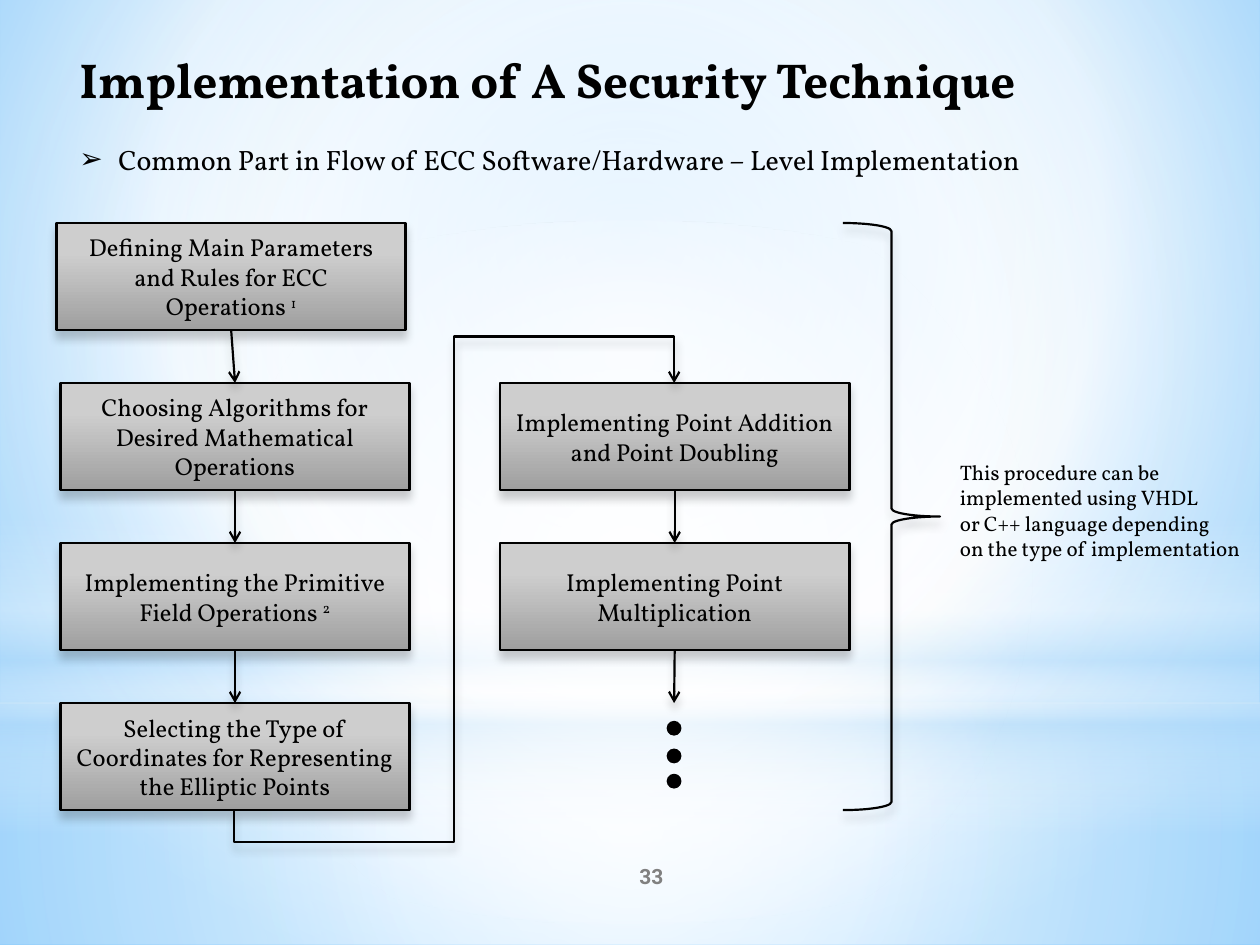
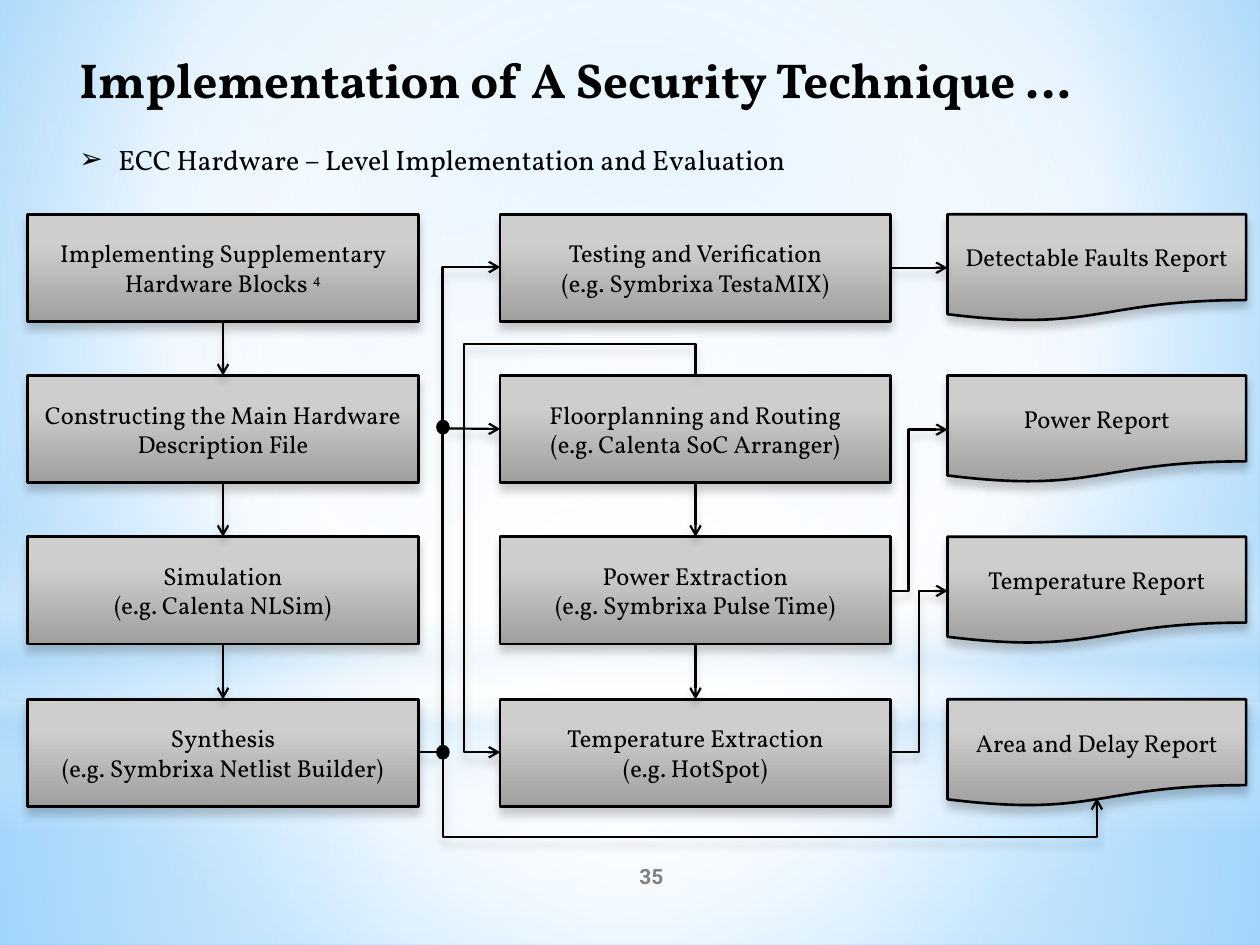
from lxml import etree
from pptx import Presentation
from pptx import util as u
from pptx.dml.color import RGBColor
from pptx.enum import shapes, text
from pptx.oxml.ns import qn

SCALE = 9144  # EMU in one px, 100 px to the inch
HUES = {"ink": "000000", "page": "808080", "white": "FFFFFF", "sky": "B4DCFA",
        "light": "9ED5FF", "deep": "5BB9FF", "top": "CECECE", "foot": "9F9F9F"}
KIND = shapes.MSO_SHAPE
LINK = shapes.MSO_CONNECTOR
MID = (50, 50, 50, 50)


def px(*vals):
    return [u.Emu(v * SCALE) for v in vals]


def hue(name):
    return RGBColor.from_string(HUES[name])


def add(root, tag, **attrs):
    return etree.SubElement(root, qn(tag), {k: str(v) for k, v in attrs.items()})


def shade(item, node, stops, rect=None):
    """Fill with (place, colour, opacity) stops: round if rect is given, else downward."""
    item.fill.background()
    old = next(node.iter(qn("a:noFill")))
    grad = etree.Element(qn("a:gradFill"), rotWithShape="1")
    marks = add(grad, "a:gsLst")
    for place, name, alpha in stops:
        color = add(add(marks, "a:gs", pos=place * 1000), "a:srgbClr", val=HUES[name])
        if alpha < 100:
            add(color, "a:alpha", val=alpha * 1000)
    if rect:
        sides = {k: v * 1000 for k, v in zip("ltrb", rect)}
        add(add(grad, "a:path", path="circle"), "a:fillToRect", **sides)
    else:
        add(grad, "a:lin", ang=5400000, scaled=0)
    old.getparent().replace(old, grad)


class Deck:
    face = "Vollkorn"
    thin, thick = 1.25, 1.5

    def __init__(self):
        self.prs = Presentation()
        self.prs.slide_width, self.prs.slide_height = px(1000, 750)
        self.slide = None

    # Shared look
    def style(self, item, size, bold=False, color="ink", face=None):
        font = item.font
        font.name, font.size, font.bold = face or self.face, u.Pt(size), bold
        font.color.rgb = hue(color)

    def stroke(self, item, width):
        item.line.color.rgb = hue("ink")
        item.line.width = u.Pt(width)

    def soft(self, item):
        props = item.element.spPr
        fx = props.find(qn("a:effectLst"))
        if fx is None:
            fx = add(props, "a:effectLst")
        drop = add(fx, "a:outerShdw", blurRad=u.Pt(5), dist=u.Pt(4), dir=5400000,
                   rotWithShape=0)
        add(add(drop, "a:srgbClr", val=HUES["ink"]), "a:alpha", val=20000)

    def shape(self, kind, *box):
        item = self.slide.shapes.add_shape(kind, *px(*box))
        item.shadow.inherit = False
        return item

    def back(self):
        """Paint the master: background, two panels, a band and a glow."""
        master = self.prs.slide_master
        shade(master.background, master.element,
              [(0, "light", 100), (60, "white", 100), (100, "deep", 100)], (20, 10, 20, 60))
        parts = [
            (KIND.RECTANGLE, (0, 558, 1000, 192), MID,
             [(0, "white", 91), (37, "white", 76), (100, "sky", 79)]),
            (KIND.RECTANGLE, (0, 0, 1000, 558), MID,
             [(0, "white", 89), (48, "white", 62), (100, "sky", 79)]),
            (KIND.RECTANGLE, (0, 412, 1000, 250), None,
             [(0, "white", 0), (29, "white", 30), (45, "sky", 40),
              (55, "white", 26), (65, "sky", 60), (100, "white", 0)]),
            (KIND.OVAL, (0, 175, 1000, 558), MID, [(0, "white", 100), (56, "white", 0)]),
        ]
        for n, (kind, box, rect, stops) in enumerate(parts):
            item = self.shape(kind, *box)
            shade(item, item.element, stops, rect)
            item.line.fill.background()
            next(item.element.iter(qn("p:cNvPr"))).set("id", str(20 + n))
            master.shapes.element.insert(2 + n, item.element)

    # Slide frame
    def page(self, title, point, number):
        first = self.slide is None
        self.slide = self.prs.slides.add_slide(self.prs.slide_layouts[1])
        if first:
            self.back()
        head, body = self.slide.placeholders
        for item, words, box, size in ((head, title, (53, 34, 896, 60), 28),
                                       (body, point, (53, 108, 896, 37), 16)):
            item.left, item.top, item.width, item.height = px(*box)
            frame = item.text_frame
            frame.text = words
            frame.auto_size = text.MSO_AUTO_SIZE.NONE
            frame.vertical_anchor = text.MSO_ANCHOR.TOP
            para = frame.paragraphs[0]
            para.alignment = text.PP_ALIGN.LEFT
            para.space_before = u.Pt(0)
            if item is body:
                props = para._p.get_or_add_pPr()
                props.set("marL", str(31 * SCALE))
                props.set("indent", str(-31 * SCALE))
                add(props, "a:buChar", char="➢")
            self.style(para, size, item is head)
        self.note(number, (417, 675, 200, 40), 12, True, "page", "Roboto")

    def note(self, words, box, size, mid=False, color="ink", face=None):
        item = self.slide.shapes.add_textbox(*px(*box))
        frame = item.text_frame
        frame.word_wrap = mid
        frame.text = words
        if mid:
            frame.vertical_anchor = text.MSO_ANCHOR.MIDDLE
        for para in frame.paragraphs:
            if mid:
                para.alignment = text.PP_ALIGN.CENTER
            self.style(para, size, mid, color, face)

    # Flow parts
    def step(self, words, *box, kind=KIND.FLOWCHART_PROCESS):
        """A grey box; text after ^ is raised."""
        item = self.shape(kind, *box)
        shade(item, item.element, [(28, "top", 100), (100, "foot", 100)])
        self.stroke(item, self.thick)
        self.soft(item)
        frame = item.text_frame
        frame.word_wrap = True
        frame.vertical_anchor = text.MSO_ANCHOR.MIDDLE
        frame.text = words
        for para in frame.paragraphs:
            base, _, mark = para.text.partition("^")
            para.runs[0].text = base
            if mark:
                run = para.add_run()
                run.text = mark
                run._r.get_or_add_rPr().set("baseline", "30000")
            para.alignment = text.PP_ALIGN.CENTER
            self.style(para, 14)
        return item

    def dot(self, kind, *box):
        item = self.shape(kind, *box)
        item.fill.solid()
        item.fill.fore_color.rgb = hue("ink")
        self.stroke(item, self.thin)
        return item

    def brace(self, *box):
        item = self.shape(KIND.RIGHT_BRACE, *box)
        item.adjustments[0] = 0.083
        item.fill.background()
        self.stroke(item, self.thin)
        self.soft(item)

    def tip(self, link):
        self.stroke(link, self.thin)
        add(next(link.element.iter(qn("a:ln"))), "a:tailEnd", type="arrow")
        self.soft(link)

    def arrow(self, start, end, out=2, into=0):
        """Straight arrow; each end is a (shape, side) joint or a free point."""
        link = self.slide.shapes.add_connector(LINK.STRAIGHT, 0, 0, 0, 0)
        if isinstance(start, tuple):
            link.begin_x, link.begin_y = px(*start)
        else:
            link.begin_connect(start, out)
        if isinstance(end, tuple):
            link.end_x, link.end_y = px(*end)
        else:
            link.end_connect(end, into)
        self.tip(link)

    def chain(self, items):
        for a, b in zip(items, items[1:]):
            self.arrow(a, b)

    def bend(self, start, out, end, into, box, flip="", turn=0, cuts=()):
        """Elbow arrow in a frame that is flipped, then turned; cuts place its bends."""
        link = self.slide.shapes.add_connector(LINK.ELBOW, 0, 0, 0, 0)
        link.begin_connect(start, min(out, 3))
        next(link.element.iter(qn("a:stCxn"))).set("idx", str(out))
        link.end_connect(end, into)
        link.left, link.top, link.width, link.height = px(*box)
        frame = link.element.spPr.find(qn("a:xfrm"))
        frame.set("rot", str(turn * 60000))
        for side in "hv":
            frame.set("flip" + side.upper(), str(int(side in flip)))
        geom = link.element.spPr.find(qn("a:prstGeom"))
        geom.set("prst", f"bentConnector{max(len(cuts), 1) + 2}")
        guides = geom.find(qn("a:avLst"))
        if guides is None:
            guides = add(geom, "a:avLst")
        for n, cut in enumerate(cuts, 1):
            add(guides, "a:gd", name=f"adj{n}" if len(cuts) > 1 else "adj1",
                fmla=f"val {round(cut * 100000)}")
        self.tip(link)


def common(deck):
    deck.page("Implementation of A Security Technique",
              "Common Part in Flow of ECC Software/Hardware – Level Implementation", "33")
    wide, high, pitch = 277, 85, 127
    left = [deck.step("Defining Main Parameters and Rules for ECC\nOperations ^1",
                      45, 177, wide, high)]
    left += [deck.step(words, 48, 304 + pitch * n, wide, high) for n, words in enumerate((
        "Choosing Algorithms for Desired Mathematical Operations",
        "Implementing the Primitive Field Operations ^2",
        "Selecting the Type of Coordinates for Representing the Elliptic Points"))]
    right = [deck.step(words, 397, 304 + pitch * n, wide, high) for n, words in enumerate((
        "Implementing Point Addition and Point Doubling",
        "Implementing Point Multiplication"))]

    # Arrows
    deck.bend(left[-1], 2, right[0], 0, (191, 299, 339, 349), "hv", 90,
              (-0.074, 0.5, 1.109))
    deck.chain(left)
    deck.chain(right)
    deck.arrow(right[-1], (535, 558))

    # Dots that go on, and the remark
    for y in (573, 595, 615):
        deck.dot(KIND.OVAL, 530, y, 10, 10)
    deck.brace(669, 177, 77, 466)
    deck.note("This procedure can be\nimplemented using VHDL\nor C++ language depending\n"
              "on the type of implementation", (752, 360, 250, 91), 12)


def hardware(deck):
    deck.page("Implementation of A Security Technique …",
              "ECC Hardware – Level Implementation and Evaluation", "35")
    columns = [
        (22, 310, KIND.FLOWCHART_PROCESS, (
            "Implementing Supplementary Hardware Blocks ^4",
            "Constructing the Main Hardware Description File",
            "Simulation\n(e.g. Calenta NLSim)",
            "Synthesis\n(e.g. Symbrixa Netlist Builder)")),
        (397, 310, KIND.FLOWCHART_PROCESS, (
            "Testing and Verification\n(e.g. Symbrixa TestaMIX)",
            "Floorplanning and Routing\n(e.g. Calenta SoC Arranger)",
            "Power Extraction\n(e.g. Symbrixa Pulse Time)",
            "Temperature Extraction\n(e.g. HotSpot)")),
        (752, 237, KIND.FLOWCHART_DOCUMENT, (
            "Detectable Faults Report", "Power Report",
            "Temperature Report", "Area and Delay Report")),
    ]
    build, check, report = [
        [deck.step(words, x, 170 + n * 385 // 3, wide, 85, kind=kind)
         for n, words in enumerate(names)] for x, wide, kind, names in columns]

    # Arrows down and across
    deck.chain(build)
    deck.chain(check[1:])
    deck.arrow(check[0], report[0], 3, 1)

    # Branches from synthesis
    deck.bend(build[3], 3, check[0], 1, (332, 212, 65, 385), "v", cuts=(0.295,))
    high, low = [deck.dot(KIND.FLOWCHART_CONNECTOR, 347, y, 9, 10) for y in (334, 592)]
    deck.arrow((355, 340), check[1], into=1)
    deck.bend(low, 4, report[3], 2, (595, 358, 32, 519), "h", 270, (1.963,))

    # Floorplan to temperature, and the reports
    deck.bend(check[1], 0, check[3], 1, (325, 370, 299, 155), "hv", 270, (-0.084, 1.184))
    deck.bend(check[2], 3, report[1], 1, (707, 341, 45, 128), "v", cuts=(0.311,))
    deck.bend(check[3], 3, report[2], 1, (707, 469, 45, 128), "v")


def main():
    deck = Deck()
    common(deck)
    hardware(deck)
    deck.prs.save("out.pptx")


if __name__ == "__main__":
    main()
